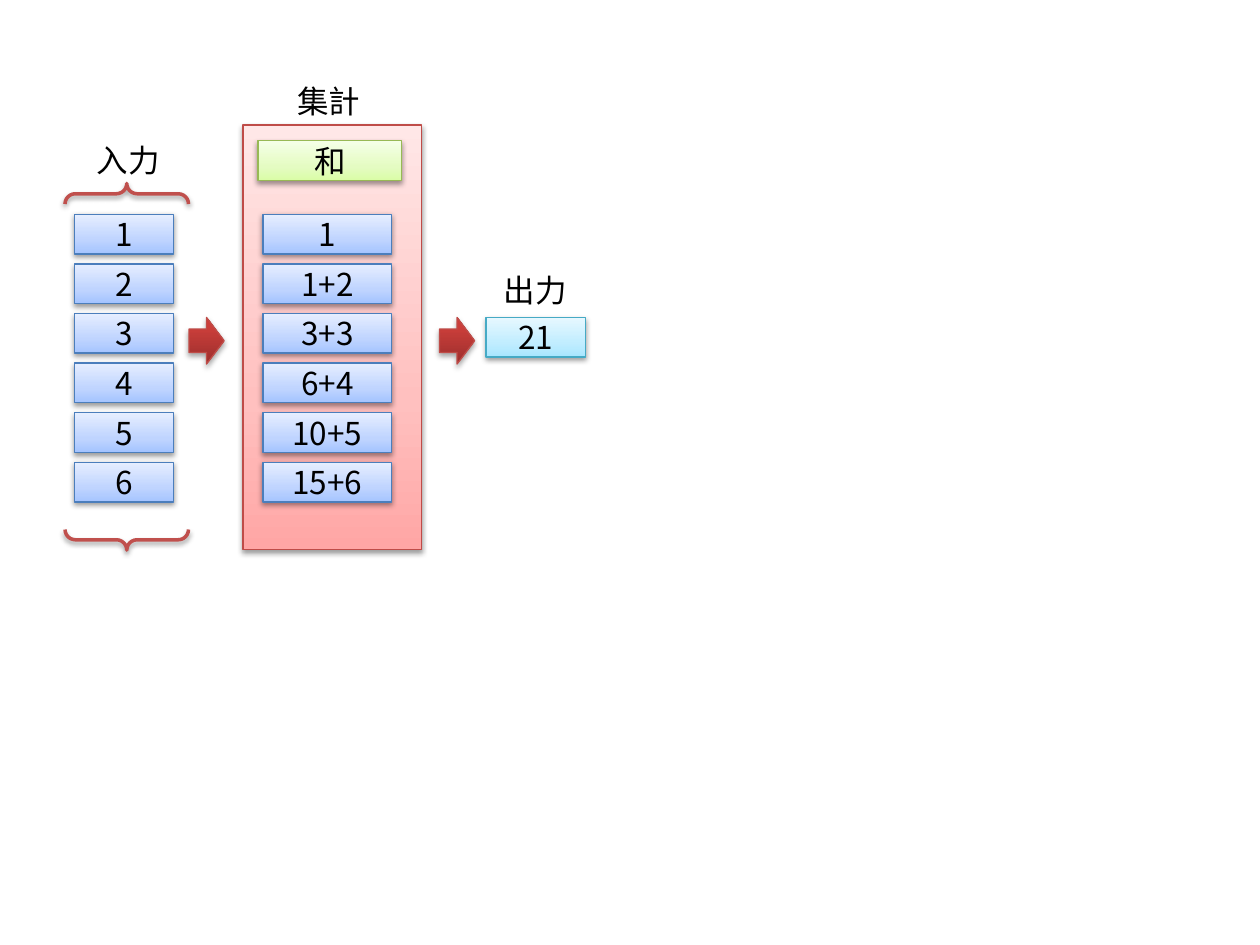
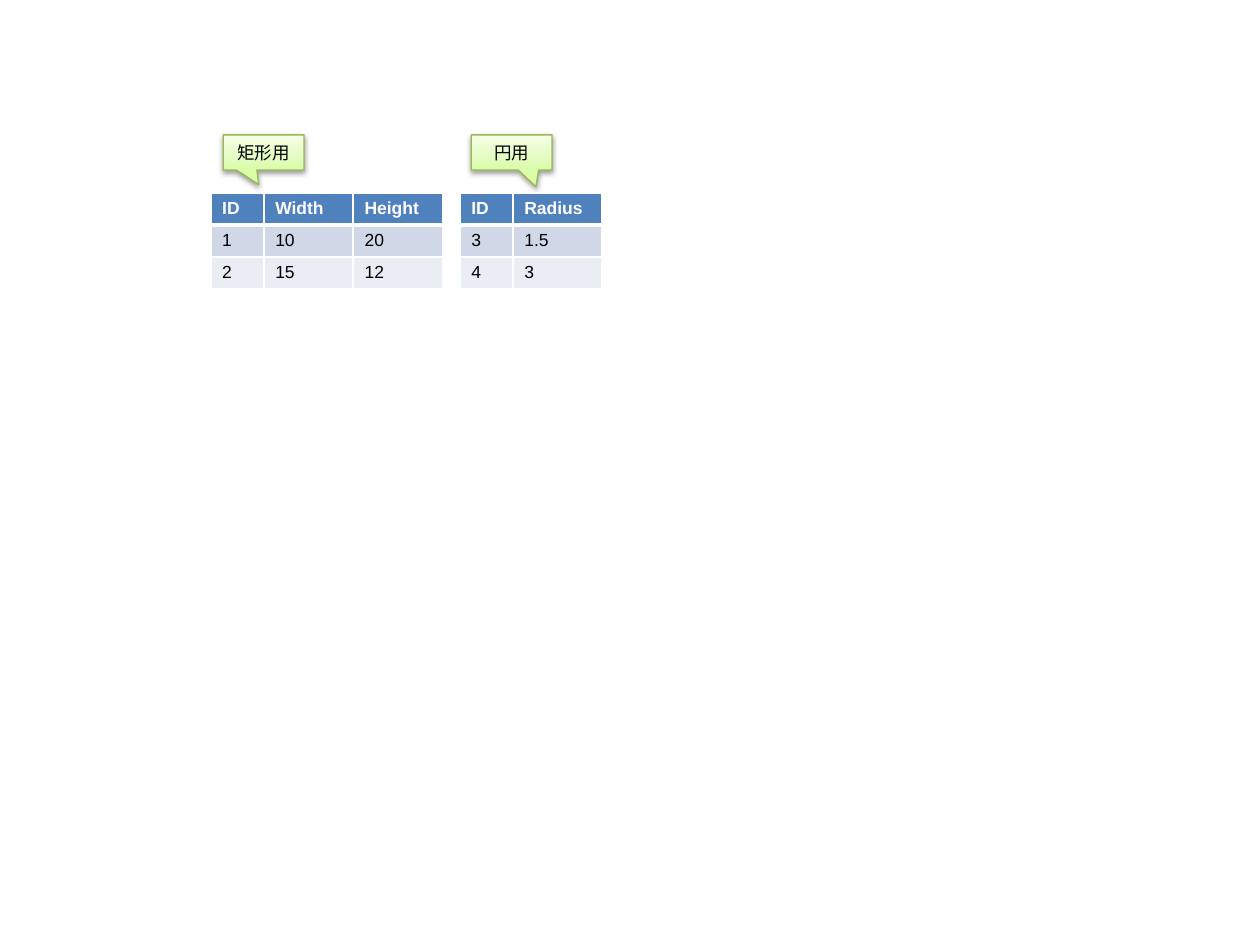
"""Build two slides: a summing flow diagram and two small shape tables."""
from dataclasses import dataclass

from lxml.etree import SubElement
from pptx import Presentation
from pptx.dml.color import RGBColor
from pptx.enum.shapes import MSO_SHAPE
from pptx.enum.text import MSO_ANCHOR, MSO_AUTO_SIZE, PP_ALIGN
from pptx.oxml.ns import qn
from pptx.util import Cm, Pt


@dataclass(frozen=True)
class Paint:
    line: str
    stops: tuple
    shadow_alpha: int = 38
    shadow_distance: float = 1.6


@dataclass(frozen=True)
class Theme:
    latin: str = "Arial"
    cjk: str = "Noto Sans CJK JP"
    large: int = 18
    small: int = 10
    text: str = "000000"
    white: str = "FFFFFF"
    brace: str = "C0504D"
    header: str = "4F81BD"
    bands: tuple = ("D0D8E8", "E9EDF4")
    blue: Paint = Paint("4B7EBC", ((0, "A4C4FF"), (35, "BFD4FF"), (100, "E6EEFF")))
    green: Paint = Paint("98B955", ((0, "DAFDA7"), (35, "E4FCC2"), (100, "F5FFE7")))
    cyan: Paint = Paint("46AAC5", ((0, "A7E6FF"), (35, "C1EDFF"), (100, "E7F8FF")))
    pink: Paint = Paint("BF4C48", ((0, "FFA6A5"), (35, "FFC0BF"), (100, "FFE7E7")))
    red: Paint = Paint("BF4C48", ((0, "9C2F2D"), (80, "CB3E3A"), (100, "CE3B37")), 35, 1.8)


class Deck:
    def __init__(self, theme):
        self.theme = theme
        self.prs = Presentation()
        self.prs.slide_width, self.prs.slide_height = Cm(25.4), Cm(19.05)
        self.s = None

    def add_slide(self):
        self.s = self.prs.slides.add_slide(self.prs.slide_layouts[6])

    def add_text(self, tf, text, size, font, color=None, bold=False, align=None):
        p = tf.paragraphs[0]
        p.alignment = align
        r = p.add_run()
        r.text = text
        r.font.size, r.font.bold, r.font.name = Pt(size), bold, font
        r.font.color.rgb = RGBColor.from_string(color or self.theme.text)
        SubElement(r._r.get_or_add_rPr(), qn("a:ea"), typeface=self.theme.cjk)

    def shadow(self, sp, alpha, distance):
        sp.shadow.inherit = False
        effects = sp._element.spPr.find(qn("a:effectLst"))
        outer = SubElement(effects, qn("a:outerShdw"), blurRad=str(Pt(3.1)),
                           dist=str(Pt(distance)), dir="5400000", rotWithShape="0")
        color = SubElement(outer, qn("a:srgbClr"), val=self.theme.text)
        SubElement(color, qn("a:alpha"), val=str(alpha * 1000))

    def shape(self, kind, x, y, w, h, paint, text=None, size=None, adjust=()):
        sp = self.s.shapes.add_shape(kind, Cm(x), Cm(y), Cm(w), Cm(h))
        for i, value in enumerate(adjust):
            sp.adjustments[i] = value
        sp.fill.gradient()
        sp.fill.gradient_angle = 90
        stops = sp._element.spPr.find(".//" + qn("a:gsLst"))
        stops.clear()
        for pos, color in paint.stops:
            gs = SubElement(stops, qn("a:gs"), pos=str(pos * 1000))
            SubElement(gs, qn("a:srgbClr"), val=color)
        sp.line.color.rgb = RGBColor.from_string(paint.line)
        sp.line.width = Pt(0.75)
        self.shadow(sp, paint.shadow_alpha, paint.shadow_distance)
        if text:
            tf = sp.text_frame
            tf.word_wrap = False
            tf.vertical_anchor = MSO_ANCHOR.MIDDLE
            self.add_text(tf, text, size or self.theme.large, self.theme.cjk,
                          align=PP_ALIGN.CENTER)

    def box(self, x, y, w, text, paint):
        self.shape(MSO_SHAPE.RECTANGLE, x, y, w, 0.8, paint, text)

    def arrow(self, x, y):
        self.shape(MSO_SHAPE.RIGHT_ARROW, x, y, 0.71, 0.94, self.theme.red)

    def callout(self, x, y, text, tip):
        self.shape(MSO_SHAPE.RECTANGULAR_CALLOUT, x, y, 1.63, 0.71, self.theme.green,
                   text, self.theme.small, tip)

    def brace_pair(self, x, y, w, h):
        sp = self.s.shapes.add_shape(MSO_SHAPE.DOUBLE_BRACE, Cm(x), Cm(y), Cm(w), Cm(h))
        sp.rotation = 90
        sp.fill.background()
        sp.line.color.rgb = RGBColor.from_string(self.theme.brace)
        sp.line.width = Pt(2)
        self.shadow(sp, 38, 1.6)

    def label(self, x, y, text):
        tf = self.s.shapes.add_textbox(Cm(x), Cm(y), Cm(1.8), Cm(1.02)).text_frame
        tf.word_wrap = False
        tf.auto_size = MSO_AUTO_SIZE.SHAPE_TO_FIT_TEXT
        self.add_text(tf, text, self.theme.large, self.theme.latin)

    def cell_borders(self, cell, top, bottom):
        tc_pr = cell._tc.get_or_add_tcPr()
        for side, width in (("L", 1), ("R", 1), ("T", top), ("B", bottom)):
            ln = SubElement(tc_pr, qn(f"a:ln{side}"), w=str(Pt(width)))
            fill = SubElement(ln, qn("a:solidFill"))
            SubElement(fill, qn("a:srgbClr"), val=self.theme.white)

    def table(self, x, y, widths, rows):
        height = 0.64
        table = self.s.shapes.add_table(len(rows), len(widths), Cm(x), Cm(y),
                                        Cm(sum(widths)), Cm(height * len(rows))).table
        for column, width in zip(table.columns, widths):
            column.width = Cm(width)
        for i, row in enumerate(rows):
            table.rows[i].height = Cm(height)
            head = i == 0
            fill = self.theme.header if head else self.theme.bands[(i - 1) % 2]
            color = self.theme.white if head else self.theme.text
            for j, text in enumerate(row):
                cell = table.cell(i, j)
                cell.margin_left = cell.margin_right = Cm(0.23)
                cell.margin_top = cell.margin_bottom = Cm(0.11)
                self.cell_borders(cell, 3 if i == 1 else 1, 3 if head else 1)
                cell.fill.solid()
                cell.fill.fore_color.rgb = RGBColor.from_string(fill)
                self.add_text(cell.text_frame, text, self.theme.small, self.theme.latin,
                              color, head)


def sum_slide(deck):
    theme = deck.theme
    deck.add_slide()
    deck.brace_pair(-1.14, 6.15, 7.39, 2.49)
    deck.label(1.7, 2.72, "入力")
    deck.label(9.91, 5.33, "出力")
    deck.box(9.8, 6.4, 2, "21", theme.cyan)
    deck.shape(MSO_SHAPE.RECTANGLE, 4.9, 2.52, 3.6, 8.56, theme.pink)
    deck.label(5.74, 1.52, "集計")
    deck.box(5.2, 2.84, 2.9, "和", theme.green)
    for x in (3.81, 8.86):
        deck.arrow(x, 6.4)
    steps = ("1", "1+2", "3+3", "6+4", "10+5", "15+6")
    for i, step in enumerate(steps):
        y = 4.32 + i
        deck.box(1.5, y, 2, str(i + 1), theme.blue)
        deck.box(5.3, y, 2.6, step, theme.blue)


def tables_slide(deck):
    deck.add_slide()
    top, id_width, value_width = 3.89, 1.07, 1.8
    deck.table(4.25, top, (id_width, value_width, value_width),
               (("ID", "Width", "Height"), ("1", "10", "20"), ("2", "15", "12")))
    deck.callout(9.5, 2.72, "円用", (0.3, 0.97))
    deck.callout(4.5, 2.72, "矩形用", (-0.06, 0.91))
    deck.table(9.27, top, (id_width, value_width),
               (("ID", "Radius"), ("3", "1.5"), ("4", "3")))


def main():
    deck = Deck(Theme())
    sum_slide(deck)
    tables_slide(deck)
    deck.prs.save("out.pptx")


if __name__ == "__main__":
    main()
